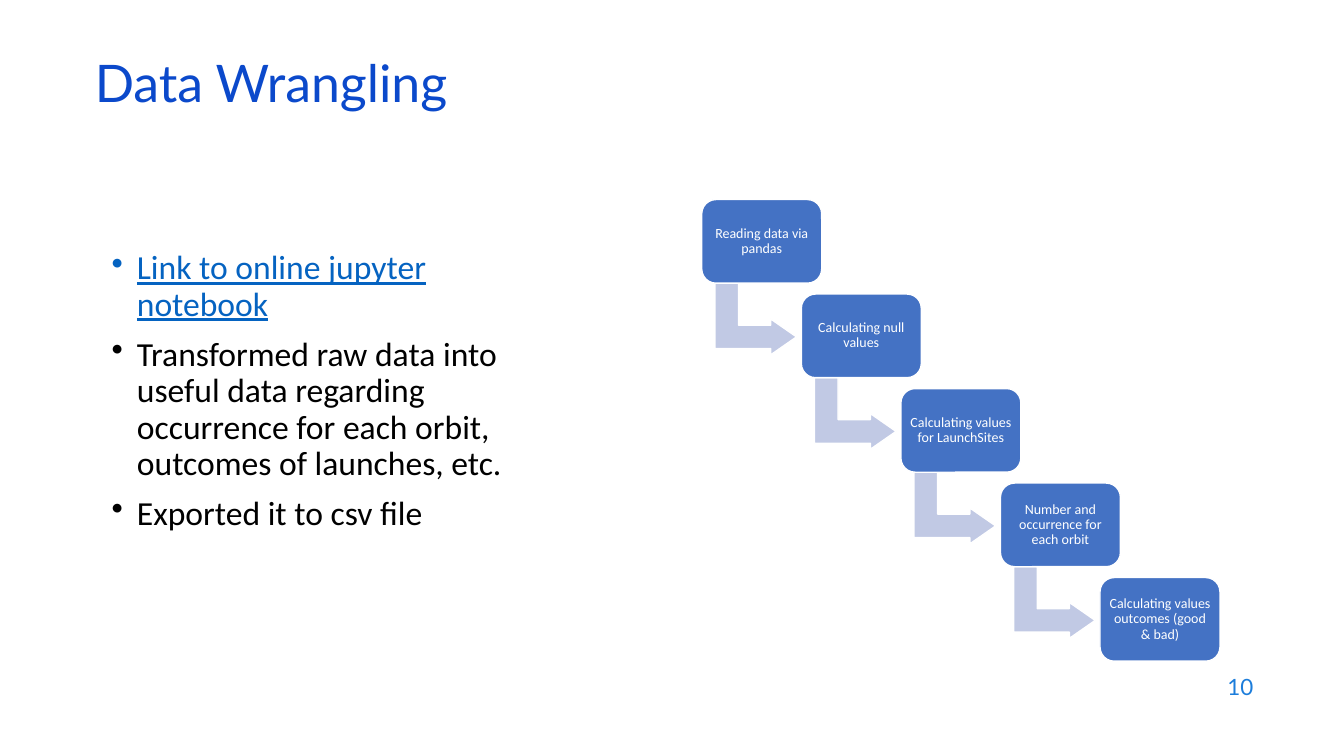
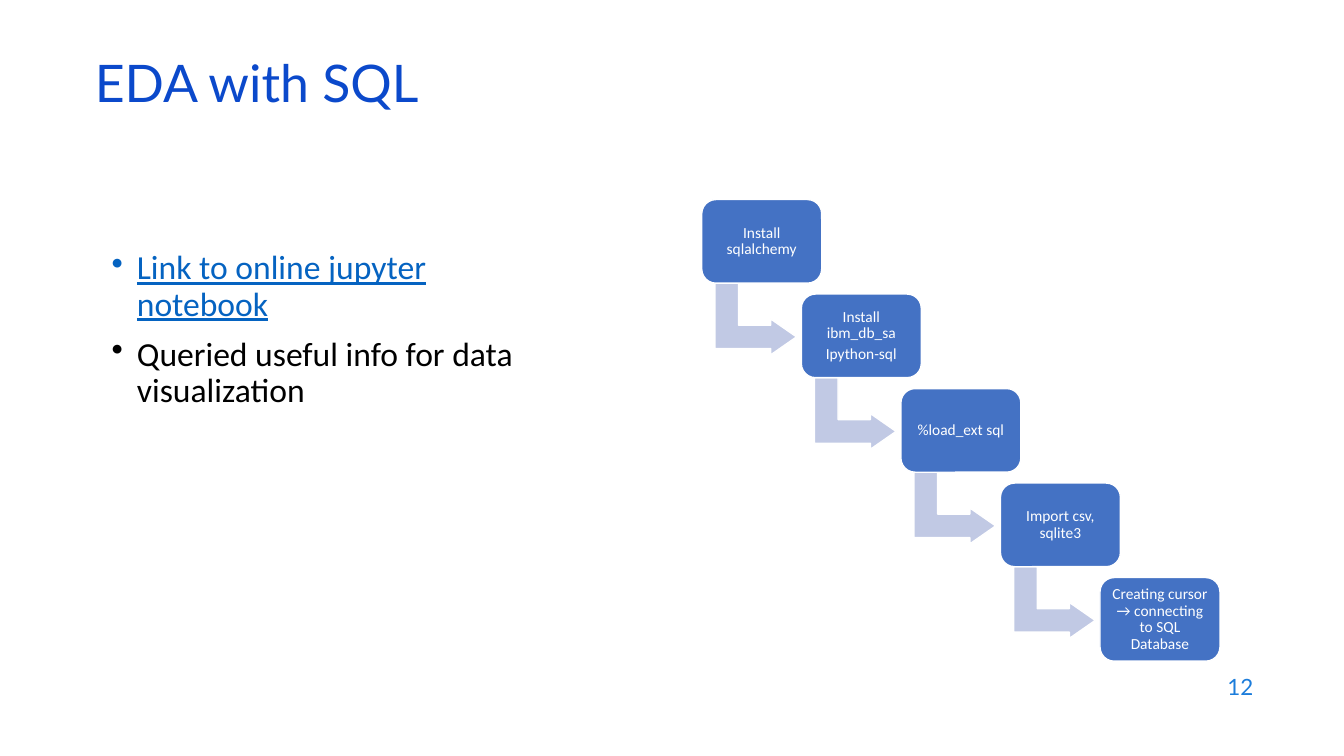
"""Build two slides, each with a bullet list beside a five-step staircase process."""
from dataclasses import dataclass

from lxml import etree
from pptx import Presentation
from pptx.dml.color import RGBColor
from pptx.enum.shapes import MSO_SHAPE
from pptx.enum.text import MSO_ANCHOR, MSO_AUTO_SIZE, PP_ALIGN
from pptx.oxml.ns import qn
from pptx.util import Inches, Pt

ROUNDED = MSO_SHAPE.ROUNDED_RECTANGLE
BENT_ARROW = MSO_SHAPE.BENT_UP_ARROW
MIDDLE, TOP = MSO_ANCHOR.MIDDLE, MSO_ANCHOR.TOP
LEFT, CENTER, RIGHT = PP_ALIGN.LEFT, PP_ALIGN.CENTER, PP_ALIGN.RIGHT
NO_AUTOFIT = MSO_AUTO_SIZE.NONE


@dataclass(frozen=True)
class Theme:
    title_color: str = "0B49CB"
    number_color: str = "1C7DDB"
    link_color: str = "0563C1"
    body_color: str = "000000"
    step_color: str = "4472C4"
    arrow_color: str = "C1C9E4"
    white: str = "FFFFFF"
    heading_font: str = "Lato"
    body_font: str = "Calibri"
    title_size: int = 37
    body_size: int = 24
    number_size: int = 16


THEME = Theme()
TITLE_AREA = (0.84, 0.59, 11.5, 0.6)
BODY_AREA = (1.01, 2.44, 4.3, 3.69)
NUMBER_AREA = (9.53, 6.59, 3, 0.44)

STAIR_LEFT, STAIR_TOP = 6.96, 1.98
COLUMN, ROW = 3.95 / 4, 3.75 / 4
STEP_WIDTH, STEP_HEIGHT = 1.19, 0.83
ARROW_LEFT, ARROW_TOP = 0.18, 0.78
ARROW_WIDTH, ARROW_HEIGHT = 0.71, 0.81

SLIDES = [
    {
        "number": "10",
        "title": "Data Wrangling",
        "bullets": [
            "Link to online jupyter notebook",
            "Transformed raw data into useful data regarding occurrence for each orbit, "
            "outcomes of launches, etc.",
            "Exported it to csv file",
        ],
        "step_size": 10,
        "step_inset": 0.04,
        "steps": [
            ["Reading data via pandas"],
            ["Calculating null values"],
            ["Calculating values for LaunchSites"],
            ["Number and occurrence for each orbit"],
            ["Calculating values outcomes (good & bad)"],
        ],
    },
    {
        "number": "12",
        "title": "EDA with SQL",
        "bullets": [
            "Link to online jupyter notebook",
            "Queried useful info for data visualization",
        ],
        "step_size": 11,
        "step_inset": 0.05,
        "steps": [
            ["Install sqlalchemy"],
            ["Install ibm_db_sa", "Ipython-sql"],
            ["%load_ext sql"],
            ["Import csv, sqlite3"],
            ["Creating cursor → connecting to SQL Database"],
        ],
    },
]


def write(box, lines, size, font, color, align=LEFT, anchor=MIDDLE, spacing=1.0):
    """Fill a box with evenly styled paragraphs and return them."""
    frame = box.text_frame
    frame.auto_size = NO_AUTOFIT
    frame.word_wrap = True
    frame.vertical_anchor = anchor
    frame.text = "\n".join(lines)
    for para in frame.paragraphs:
        para.alignment = align
        para.line_spacing = spacing
        para.font.size = Pt(size)
        para.font.name = font
        para.font.color.rgb = RGBColor.from_string(color)
    return frame.paragraphs


def add_block(shapes, kind, area, fill, adjustments):
    """Add a flat filled shape with a thin white outline."""
    block = shapes.add_shape(kind, *map(Inches, area))
    block.shadow.inherit = False
    block.fill.solid()
    block.fill.fore_color.rgb = RGBColor.from_string(fill)
    block.line.color.rgb = RGBColor.from_string(THEME.white)
    block.line.width = Pt(1)
    for index, value in enumerate(adjustments):
        block.adjustments[index] = value
    return block


deck = Presentation()
deck.slide_width, deck.slide_height = Inches(13.33), Inches(7.5)
title_only = deck.slide_layouts[5]

for content in SLIDES:
    page = deck.slides.add_slide(title_only)

    title = page.shapes.title
    title.left, title.top, title.width, title.height = map(Inches, TITLE_AREA)
    write(title, [content["title"]], THEME.title_size, THEME.heading_font,
          THEME.title_color, spacing=0.7)

    number = page.shapes.add_textbox(*map(Inches, NUMBER_AREA))
    write(number, [content["number"]], THEME.number_size, THEME.heading_font,
          THEME.number_color, align=RIGHT)

    body = page.shapes.add_textbox(*map(Inches, BODY_AREA))
    bullets = write(body, content["bullets"], THEME.body_size, THEME.body_font,
                    THEME.body_color, anchor=TOP, spacing=0.9)
    for index, para in enumerate(bullets):
        para.space_before = Pt(10 if index else 0)
        properties = para._p.get_or_add_pPr()
        properties.set("marL", str(Inches(0.25)))
        properties.set("indent", str(Inches(-0.25)))
        bullet = etree.Element(qn("a:buChar"), char="•")
        properties.find(qn("a:defRPr")).addprevious(bullet)
    link = bullets[0].font
    link.color.rgb = RGBColor.from_string(THEME.link_color)
    link.underline = True

    stairs = page.shapes.add_group_shape().shapes
    last = len(content["steps"]) - 1
    for index, lines in enumerate(content["steps"]):
        left, top = STAIR_LEFT + index * COLUMN, STAIR_TOP + index * ROW
        if index < last:
            arrow_area = (left + ARROW_LEFT, top + ARROW_TOP, ARROW_WIDTH, ARROW_HEIGHT)
            arrow = add_block(stairs, BENT_ARROW, arrow_area, THEME.arrow_color,
                              (0.33, 0.25, 0.36))
            arrow.rotation = 90
        step = add_block(stairs, ROUNDED, (left, top, STEP_WIDTH, STEP_HEIGHT),
                         THEME.step_color, (0.17,))
        frame = step.text_frame
        inset = Inches(content["step_inset"])
        frame.margin_left = frame.margin_right = inset
        frame.margin_top = frame.margin_bottom = inset
        paragraphs = write(step, lines, content["step_size"], THEME.body_font,
                           THEME.white, align=CENTER, spacing=0.9)
        for para in paragraphs[1:]:
            para.space_before = Pt(3)

deck.save("out.pptx")
